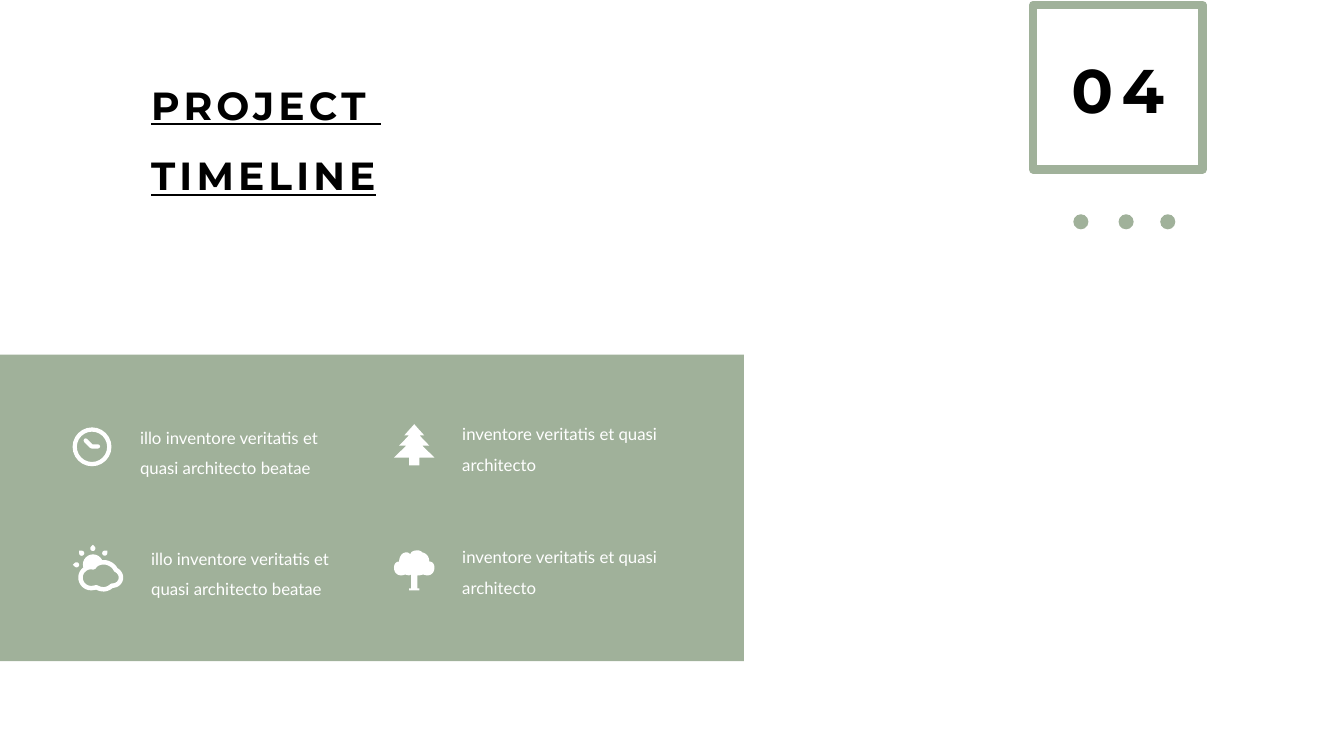
from dataclasses import dataclass

import pptx
import pptx.dml.color
import pptx.enum.shapes
import pptx.enum.text
import pptx.util

Cm = pptx.util.Cm
Preset = pptx.enum.shapes.MSO_SHAPE


@dataclass(frozen=True)
class Theme:
    sage: str = "A0B19A"
    white: str = "FFFFFF"
    black: str = "000000"
    heading_font: str = "Montserrat"
    body_font: str = "Lato"
    number_size: int = 44
    title_size: int = 28
    body_size: int = 12


THEME = Theme()

# Outline segments in cm: one point is a straight line, three are a cubic curve.
CLOUD = [
    ((2.92, 14.36),),
    ((2.87, 14.25), (2.74, 14.17), (2.62, 14.17)),
    ((2.49, 14.17), (2.41, 14.22), (2.36, 14.30)),
    ((2.21, 14.25), (2.03, 14.38), (2.03, 14.55)),
    ((2.03, 14.71), (2.16, 14.82), (2.29, 14.82)),
    ((2.34, 14.82), (2.39, 14.81), (2.43, 14.80)),
    ((2.49, 14.83), (2.54, 14.85), (2.62, 14.85)),
    ((2.69, 14.85), (2.77, 14.81), (2.82, 14.76)),
    ((2.97, 14.76), (3.05, 14.66), (3.05, 14.55)),
    ((3.05, 14.48), (3.00, 14.40), (2.92, 14.36)),
]
LEAFY_TREE = [
    ((10.82, 14.15),),
    ((10.82, 14.02), (10.74, 13.94), (10.64, 13.92)),
    ((10.62, 13.89), (10.57, 13.87), (10.52, 13.87)),
    ((10.44, 13.87), (10.36, 13.89), (10.34, 13.97)),
    ((10.31, 13.94), (10.29, 13.92), (10.24, 13.92)),
    ((10.14, 13.92), (10.06, 14.02), (10.06, 14.15)),
    ((9.98, 14.15), (9.93, 14.22), (9.93, 14.30)),
    ((9.93, 14.43), (10.01, 14.50), (10.11, 14.50)),
    ((10.16, 14.50), (10.19, 14.48), (10.21, 14.48)),
    ((10.24, 14.48), (10.29, 14.50), (10.31, 14.50)),
    ((10.36, 14.48),), ((10.36, 14.83),), ((10.31, 14.83),), ((10.31, 14.88),),
    ((10.57, 14.88),), ((10.57, 14.83),), ((10.52, 14.83),), ((10.52, 14.50),),
    ((10.57, 14.50),),
    ((10.59, 14.50), (10.64, 14.48), (10.67, 14.48)),
    ((10.69, 14.48), (10.72, 14.50), (10.77, 14.50)),
    ((10.87, 14.50), (10.95, 14.43), (10.95, 14.30)),
    ((10.95, 14.22), (10.90, 14.15), (10.82, 14.15)),
]
PINE_CENTRE = 10.44
PINE_RIGHT_HALF = [(0, 10.69), (0.25, 10.97), (0.13, 10.97), (0.38, 11.23),
                   (0.2, 11.23), (0.51, 11.53), (0.13, 11.53), (0.13, 11.73)]
SUN_RAYS = [(2.34, 13.82, -45), (1.93, 14.23, -135),
            (2.64, 13.94, 0), (2.06, 13.94, -90)]

CAPTIONS = [
    (3.28, 10.39, 5.21, "illo inventore veritatis et quasi architecto beatae"),
    (11.4, 10.31, 5.59, "inventore veritatis et quasi architecto"),
    (3.56, 13.44, 5.21, "illo inventore veritatis et quasi architecto beatae"),
    (11.4, 13.41, 5.59, "inventore veritatis et quasi architecto"),
]


def rgb(colour):
    return pptx.dml.color.RGBColor.from_string(colour)


def paint(shape, fill=None, line=None, line_width=0):
    shape.shadow.inherit = False
    if fill:
        shape.fill.solid()
        shape.fill.fore_color.rgb = rgb(fill)
    else:
        shape.fill.background()
    if line:
        shape.line.color.rgb = rgb(line)
        shape.line.width = pptx.util.Pt(line_width)
    else:
        shape.line.fill.background()
    return shape


def add_preset(shapes, preset, left, top, width, height, **style):
    shape = shapes.add_shape(preset, Cm(left), Cm(top), Cm(width), Cm(height))
    return paint(shape, **style)


def add_outline(shapes, points, closed=True, **style):
    corners = [(Cm(x), Cm(y)) for x, y in points]
    builder = shapes.build_freeform(*corners[0], scale=1.0)
    builder.add_line_segments(corners[1:], close=closed)
    return paint(builder.convert_to_shape(), **style)


def flatten(segments, steps=8):
    """Turn lines and cubic curves into a list of points."""
    points = []
    for segment in segments:
        if len(segment) == 1:
            points.append(segment[0])
            continue
        corners = (points[-1], *segment)
        for step in range(1, steps + 1):
            t = step / steps
            weights = ((1 - t) ** 3, 3 * t * (1 - t) ** 2, 3 * t * t * (1 - t), t ** 3)
            points.append(tuple(sum(w * corner[axis] for w, corner in zip(weights, corners))
                                for axis in (0, 1)))
    return points


def add_text(shapes, left, top, width, height, text, font, size, colour,
             heading=False, underline=False, tracking=0, line_spacing=None,
             space_before=None, align=None):
    box = shapes.add_textbox(Cm(left), Cm(top), Cm(width), Cm(height))
    frame = box.text_frame
    frame.word_wrap = True
    if heading:
        frame.auto_size = pptx.enum.text.MSO_AUTO_SIZE.SHAPE_TO_FIT_TEXT
    frame.text = text
    for paragraph in frame.paragraphs:
        paragraph.alignment = align
        paragraph.line_spacing = line_spacing
        paragraph.space_before = space_before
        for run in paragraph.runs:
            run.font.name = font
            run.font.size = pptx.util.Pt(size)
            run.font.color.rgb = rgb(colour)
            run.font.bold = heading
            run.font.underline = underline
            if tracking:
                run._r.get_or_add_rPr().set("spc", str(tracking * 100))


def add_clock(shapes):
    face = add_preset(shapes, Preset.DONUT, 1.83, 10.77, 0.98, 0.98, fill=THEME.white)
    face.adjustments[0] = 0.11
    hands = add_outline(shapes, [(2.16, 11.1), (2.31, 11.25), (2.47, 11.25)],
                        closed=False, line=THEME.white, line_width=3)
    hands.element.spPr.ln.set("cap", "rnd")


def add_pine(shapes):
    right = [(PINE_CENTRE + x, y) for x, y in PINE_RIGHT_HALF]
    left = [(PINE_CENTRE - x, y) for x, y in reversed(PINE_RIGHT_HALF[1:])]
    add_outline(shapes, right + left, fill=THEME.white)


def add_sun_and_cloud(shapes):
    weather = shapes.add_group_shape().shapes
    add_preset(weather, Preset.OVAL, 2.09, 13.97, 0.51, 0.51, fill=THEME.white)
    ray_size = 0.13
    for x, y, angle in SUN_RAYS:
        ray = add_preset(weather, Preset.TEAR, x - ray_size / 2, y - ray_size / 2,
                         ray_size, ray_size, fill=THEME.white)
        ray.rotation = angle
    add_outline(weather, flatten(CLOUD), fill=THEME.sage, line=THEME.white, line_width=3.2)


def main():
    deck = pptx.Presentation()
    deck.slide_width, deck.slide_height = Cm(33.87), Cm(19.05)
    shapes = deck.slides.add_slide(deck.slide_layouts[6]).shapes

    add_text(shapes, 3.56, 1.32, 11.15, 3.63, "PROJECT \nTIMELINE",
             THEME.heading_font, THEME.title_size, THEME.black,
             heading=True, underline=True, tracking=3, line_spacing=1.5)

    add_preset(shapes, Preset.RECTANGLE, 26.04, 0.13, 4.27, 4.14,
               line=THEME.sage, line_width=6)
    add_text(shapes, 26.29, 1.19, 3.76, 2.13, "04",
             THEME.heading_font, THEME.number_size, THEME.black,
             heading=True, tracking=6, align=pptx.enum.text.PP_ALIGN.CENTER)
    for dot_left in (27.05, 28.19, 29.24):
        add_preset(shapes, Preset.OVAL, dot_left, 5.4, 0.38, 0.38, fill=THEME.sage)

    add_preset(shapes, Preset.RECTANGLE, 0, 8.94, 18.75, 7.72, fill=THEME.sage)
    add_clock(shapes)
    add_pine(shapes)
    add_sun_and_cloud(shapes)
    add_outline(shapes, flatten(LEAFY_TREE), fill=THEME.white)
    for left, top, width, caption in CAPTIONS:
        add_text(shapes, left, top, width, 2.16, caption,
                 THEME.body_font, THEME.body_size, THEME.white,
                 line_spacing=1.5, space_before=pptx.util.Pt(10))

    deck.save("out.pptx")


if __name__ == "__main__":
    main()
